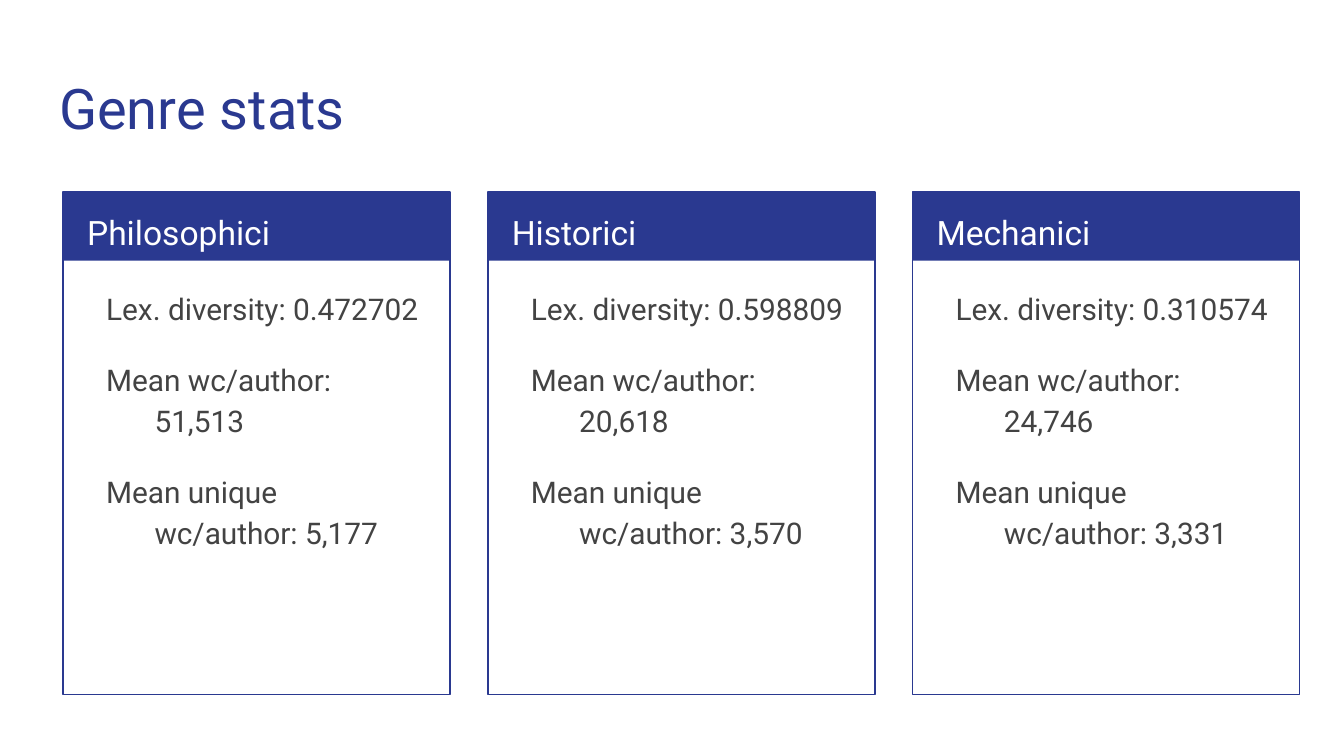
from dataclasses import dataclass
from typing import Any

from lxml import etree
from pptx import Presentation
from pptx.dml.color import RGBColor
from pptx.enum import shapes, text
from pptx.oxml import ns
from pptx.util import Inches, Pt

COLORS = {"navy": "2A3990", "white": "FFFFFF", "gray": "434343"}
FONT = "Roboto"

CARD_LEFT, CARD_TOP, CARD_STEP = 0.47, 1.43, 3.16
CARD_WIDTH, CARD_HEIGHT, HEADER_HEIGHT = 2.88, 3.74, 0.51


@dataclass
class GenreCard:
    genre: str
    diversity: str
    mean_words: str
    mean_unique: str
    placeholder: int

    def lines(self) -> list[str]:
        return [
            f"Lex. diversity: {self.diversity}",
            f"Mean wc/author: {self.mean_words}",
            f"Mean unique wc/author: {self.mean_unique}",
        ]


CARDS = [
    GenreCard("Philosophici", "0.472702", "51,513", "5,177", 2),
    GenreCard("Historici", "0.598809", "20,618", "3,570", 4),
    GenreCard("Mechanici", "0.310574", "24,746", "3,331", 3),
]


def place(shape: Any, left: float, top: float, width: float, height: float) -> None:
    box = {"left": left, "top": top, "width": width, "height": height}
    for name, value in box.items():
        setattr(shape, name, Inches(value))


def write(shape: Any, lines: list[str], size: float, color: str,
          spacing: float = 1.15, after: float = 0, hanging: bool = False) -> None:
    """Fill a text shape with uniformly formatted paragraphs."""
    frame = shape.text_frame
    frame_format = {
        "word_wrap": True,
        "auto_size": text.MSO_AUTO_SIZE.NONE,
        "vertical_anchor": text.MSO_ANCHOR.TOP,
    }
    for side in ("left", "top", "right", "bottom"):
        frame_format[f"margin_{side}"] = Inches(0.1)
    for name, value in frame_format.items():
        setattr(frame, name, value)

    paragraph_format = {
        "alignment": text.PP_ALIGN.LEFT,
        "line_spacing": spacing,
        "space_before": Pt(0),
        "space_after": Pt(after),
    }
    font_format = {"name": FONT, "size": Pt(size), "bold": False}
    frame.text = "\n".join(lines)
    for paragraph in frame.paragraphs:
        properties = paragraph._p.get_or_add_pPr()
        properties.set("marL", str(Inches(0.5 if hanging else 0)))
        properties.set("indent", str(Inches(-0.36 if hanging else 0)))
        etree.SubElement(properties, ns.qn("a:buNone"))
        for name, value in paragraph_format.items():
            setattr(paragraph, name, value)
        for run in paragraph.runs:
            for name, value in font_format.items():
                setattr(run.font, name, value)
            run.font.color.rgb = RGBColor.from_string(COLORS[color])


def add_rectangle(slide: Any, left: float, height: float, filled: bool) -> None:
    shape = slide.shapes.add_shape(
        shapes.MSO_SHAPE.RECTANGLE, Inches(left), Inches(CARD_TOP),
        Inches(CARD_WIDTH), Inches(height))
    shape.shadow.inherit = False
    navy = RGBColor.from_string(COLORS["navy"])
    if filled:
        shape.fill.solid()
        shape.fill.fore_color.rgb = navy
        shape.line.fill.background()
    else:
        shape.fill.background()
        shape.line.color.rgb = navy
        shape.line.width = Pt(0.75)


def add_card(slide: Any, card: GenreCard, left: float) -> None:
    # Header band and card outline
    add_rectangle(slide, left, HEADER_HEIGHT, filled=True)
    add_rectangle(slide, left, CARD_HEIGHT, filled=False)

    # Genre name
    heading = slide.shapes.add_textbox(
        Inches(left + 0.08), Inches(CARD_TOP), Inches(2.73), Inches(0.5))
    write(heading, [card.genre], 18, "white")

    # Statistics
    body = slide.placeholders[card.placeholder]
    place(body, left + 0.08, 2.02, 2.71, 3.06)
    write(body, card.lines(), 16, "gray", after=16, hanging=True)


def main() -> None:
    # Widescreen 16:9 page
    presentation = Presentation()
    presentation.slide_width = Inches(10)
    presentation.slide_height = Inches(10) * 9 // 16
    comparison_layout = presentation.slide_layouts[4]
    slide = presentation.slides.add_slide(comparison_layout)

    # Title
    title = slide.shapes.title
    place(title, 0.34, 0.45, 9.32, 0.66)
    write(title, ["Genre stats"], 30, "navy", spacing=1.0)

    # Genre cards
    for index, card in enumerate(CARDS):
        add_card(slide, card, CARD_LEFT + index * CARD_STEP)

    # The layout has one placeholder more than there are cards
    spare = slide.placeholders[1].element
    spare.getparent().remove(spare)

    presentation.save("out.pptx")


if __name__ == "__main__":
    main()
